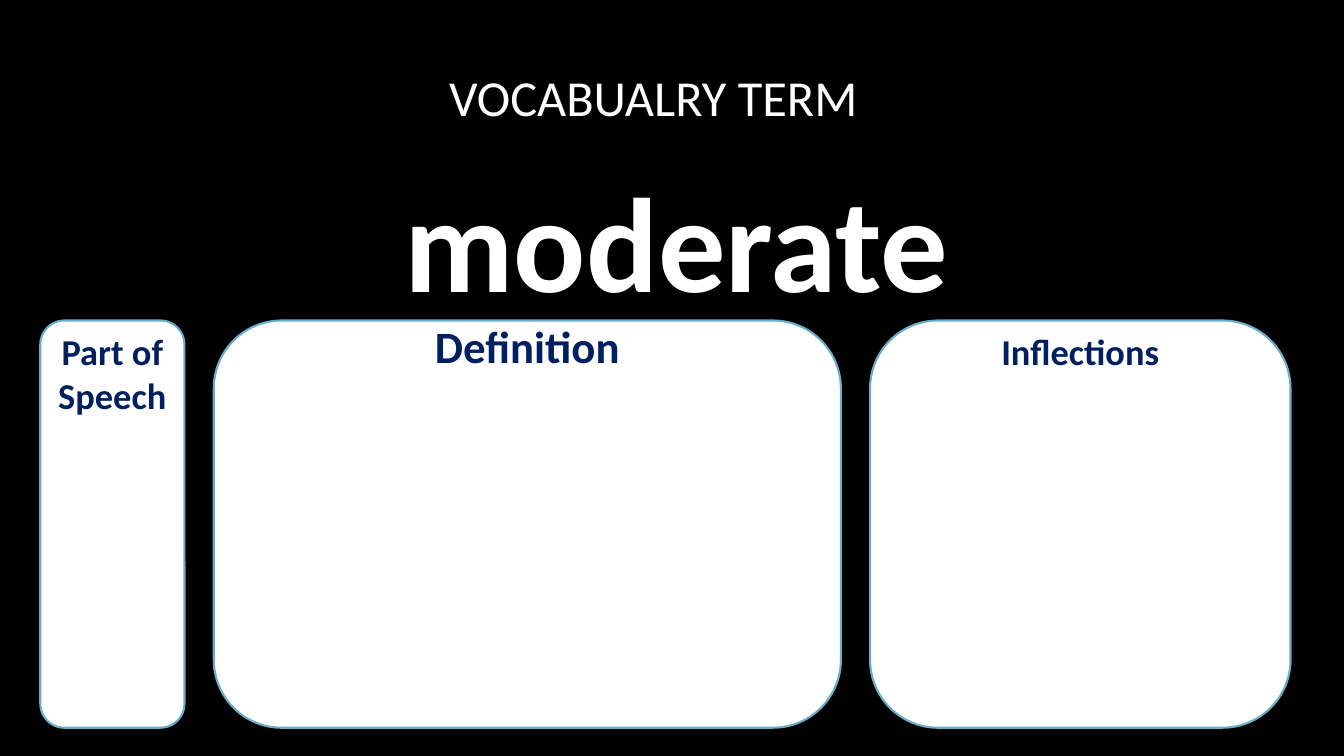
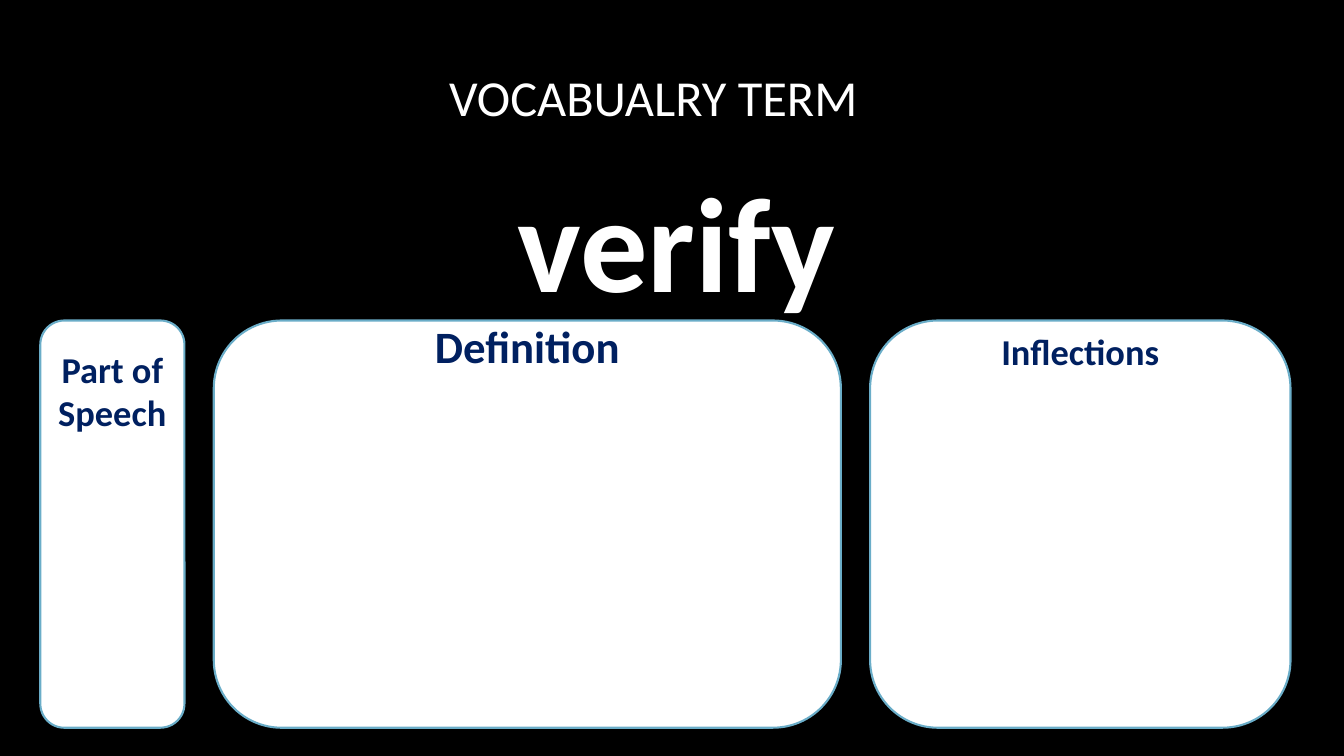
from dataclasses import dataclass

from pptx import Presentation
from pptx.dml.color import RGBColor
from pptx.enum import shapes, text
from pptx.util import Inches, Pt


@dataclass(frozen=True)
class Theme:
    font: str = "Calibri"
    background: RGBColor = RGBColor(0x00, 0x00, 0x00)
    light: RGBColor = RGBColor(0xFF, 0xFF, 0xFF)
    heading: RGBColor = RGBColor(0x00, 0x20, 0x60)
    outline: RGBColor = RGBColor(0x6A, 0xAD, 0xC8)
    outline_width: float = 1.5
    title_size: int = 36
    term_size: int = 96
    definition_size: int = 32
    label_size: int = 26


THEME = Theme()
CARD_LEFT, CARD_TOP, CARD_HEIGHT, CARD_GAP = 0.4, 3.18, 4.04, 0.29

# Heading, card width, type size
CARDS = [
    ("Part of Speech", 1.43, THEME.label_size),
    ("Definition", 6.22, THEME.definition_size),
    ("Inflections", 4.17, THEME.label_size),
]

# Term and the top inset of each card's heading
TERMS = [
    ("moderate", (0.02, -0.21, -0.11)),
    ("verify", (0.19, -0.21, -0.11)),
]


def set_text(sp, content, size, color, bold, anchor):
    """Fill a shape with one centred, wrapped paragraph."""
    tf = sp.text_frame
    tf.word_wrap = True
    tf.vertical_anchor = anchor
    tf.text = content
    p = tf.paragraphs[0]
    p.alignment = text.PP_ALIGN.CENTER
    font = p.runs[0].font
    font.name = THEME.font
    font.size = Pt(size)
    font.bold = bold
    font.color.rgb = color


prs = Presentation()
prs.slide_width, prs.slide_height = Inches(13.33), Inches(7.5)
blank = prs.slide_layouts[6]
background = prs.slide_master.background.fill
background.solid()
background.fore_color.rgb = THEME.background

for term, heading_insets in TERMS:
    s = prs.slides.add_slide(blank)

    title = s.shapes.add_textbox(Inches(0.94), Inches(0.48), Inches(11.08), Inches(0.96))
    set_text(title, "VOCABUALRY TERM", THEME.title_size, THEME.light, False,
             text.MSO_ANCHOR.MIDDLE)

    word = s.shapes.add_textbox(Inches(1.17), Inches(1.49), Inches(11.08), Inches(1.76))
    set_text(word, term, THEME.term_size, THEME.light, True, text.MSO_ANCHOR.MIDDLE)

    left = CARD_LEFT
    for (heading, width, size), inset in zip(CARDS, heading_insets):
        card = s.shapes.add_shape(shapes.MSO_SHAPE.ROUNDED_RECTANGLE, Inches(left),
                                  Inches(CARD_TOP), Inches(width), Inches(CARD_HEIGHT))
        card.shadow.inherit = False
        card.fill.solid()
        card.fill.fore_color.rgb = THEME.light
        card.line.color.rgb = THEME.outline
        card.line.width = Pt(THEME.outline_width)
        set_text(card, heading, size, THEME.heading, True, text.MSO_ANCHOR.TOP)
        card.text_frame.margin_top = Inches(inset)
        left += width + CARD_GAP

prs.save("out.pptx")
